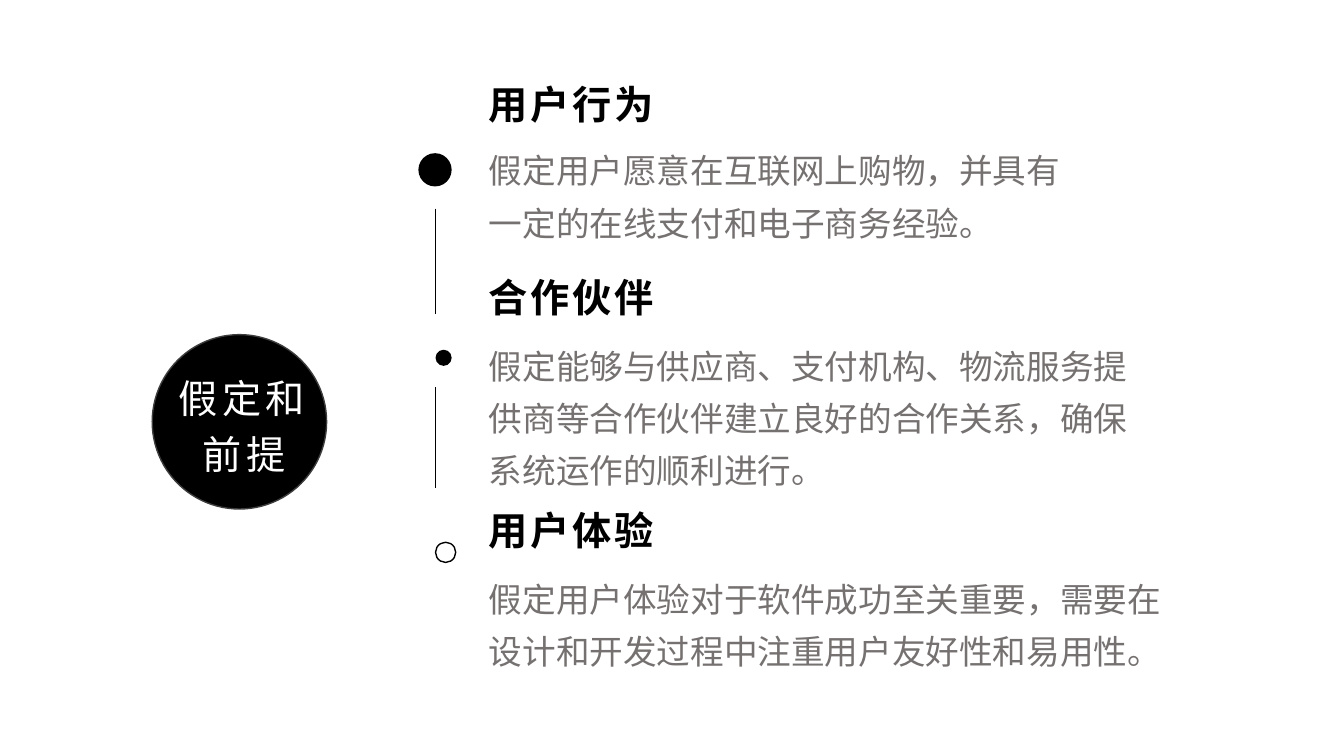
import pptx
import pptx.util
import pptx.dml.color
import pptx.enum.shapes
import pptx.enum.text
import pptx.oxml.ns
from lxml import etree

Inches, Pt = pptx.util.Inches, pptx.util.Pt
SHAPE = pptx.enum.shapes.MSO_SHAPE
FONT = "Noto Sans CJK SC"
BLACK, WHITE, GREY, EDGE = "000000", "FFFFFF", "767171", "3D3D3D"


def color(hex_value):
    return pptx.dml.color.RGBColor.from_string(hex_value)


def write(frame, text, size, ink, bold=False, tracking=0, leading=1.0):
    frame.word_wrap = True
    paragraph = frame.paragraphs[0]
    paragraph.text = text
    paragraph.line_spacing = leading
    font = paragraph.font
    font.name, font.size, font.bold = FONT, Pt(size), bold
    font.color.rgb = color(ink)
    # Letter spacing and the East Asian typeface
    properties = font._element
    properties.set("spc", str(tracking * 100))
    east_asian = etree.Element(pptx.oxml.ns.qn("a:ea"), typeface=FONT)
    properties.find(pptx.oxml.ns.qn("a:latin")).addnext(east_asian)
    return paragraph


deck = pptx.Presentation()
deck.slide_width, deck.slide_height = Inches(13.33), Inches(7.5)
slide = deck.slides.add_slide(deck.slide_layouts[6])
shapes = slide.shapes

# Grid: timeline axis and text column
axis = 4.32
text_left = 4.75
heading_width, heading_height = 2.35, 0.57

# Circles: left, top, diameter, fill, outline
circles = [
    (1.51, 3.32, 1.73, BLACK, EDGE),
    (axis - 0.17, 1.52, 0.33, BLACK, None),
    (axis, 3.47, 0.16, BLACK, None),
    (axis, 5.38, 0.2, None, BLACK),
]
for left, top, diameter, fill, outline in circles:
    circle = shapes.add_shape(SHAPE.OVAL, Inches(left), Inches(top),
                              Inches(diameter), Inches(diameter))
    circle.shadow.inherit = False
    if fill:
        circle.fill.solid()
        circle.fill.fore_color.rgb = color(fill)
    else:
        circle.fill.background()
    if outline:
        circle.line.color.rgb = color(outline)
        circle.line.width = Pt(1)
    else:
        circle.line.fill.background()

# Topic label over the large circle
topic = shapes.add_shape(SHAPE.ROUNDED_RECTANGLE, Inches(1.46), Inches(3.23),
                         Inches(1.92), Inches(1.9))
topic.shadow.inherit = False
topic.fill.background()
topic.line.fill.background()
topic.text_frame.vertical_anchor = pptx.enum.text.MSO_ANCHOR.MIDDLE
topic_line = write(topic.text_frame, "假定和前提", 28, WHITE, tracking=3, leading=1.2)
topic_line.alignment = pptx.enum.text.PP_ALIGN.CENTER

# Timeline segments
for start, end in [(2.07, 3.12), (3.84, 4.84)]:
    segment = shapes.add_connector(pptx.enum.shapes.MSO_CONNECTOR.STRAIGHT,
                                   Inches(axis), Inches(start), Inches(axis), Inches(end))
    segment.line.color.rgb = color(BLACK)
    segment.line.width = Pt(0.25)
    etree.SubElement(segment._element.spPr, pptx.oxml.ns.qn("a:effectLst"))

# Assumptions: heading, heading top, body, body top, width, height
assumptions = [
    ("用户行为", 0.75, "假定用户愿意在互联网上购物，并具有一定的在线支付和电子商务经验。",
     1.32, 6.14, 1.15),
    ("合作伙伴", 2.66, "假定能够与供应商、支付机构、物流服务提供商等合作伙伴建立良好的合作关系，"
     "确保系统运作的顺利进行。", 3.26, 6.58, 1.67),
    ("用户体验", 4.97, "假定用户体验对于软件成功至关重要，需要在设计和开发过程中注重用户友好性和易用性。",
     5.57, 7.09, 1.15),
]
for heading, heading_top, body, body_top, body_width, body_height in assumptions:
    heading_box = shapes.add_textbox(Inches(text_left), Inches(heading_top),
                                     Inches(heading_width), Inches(heading_height))
    write(heading_box.text_frame, heading, 28, BLACK, bold=True, tracking=2)
    body_box = shapes.add_textbox(Inches(text_left), Inches(body_top),
                                  Inches(body_width), Inches(body_height))
    write(body_box.text_frame, body, 24, GREY, leading=1.3)

deck.save("out.pptx")
